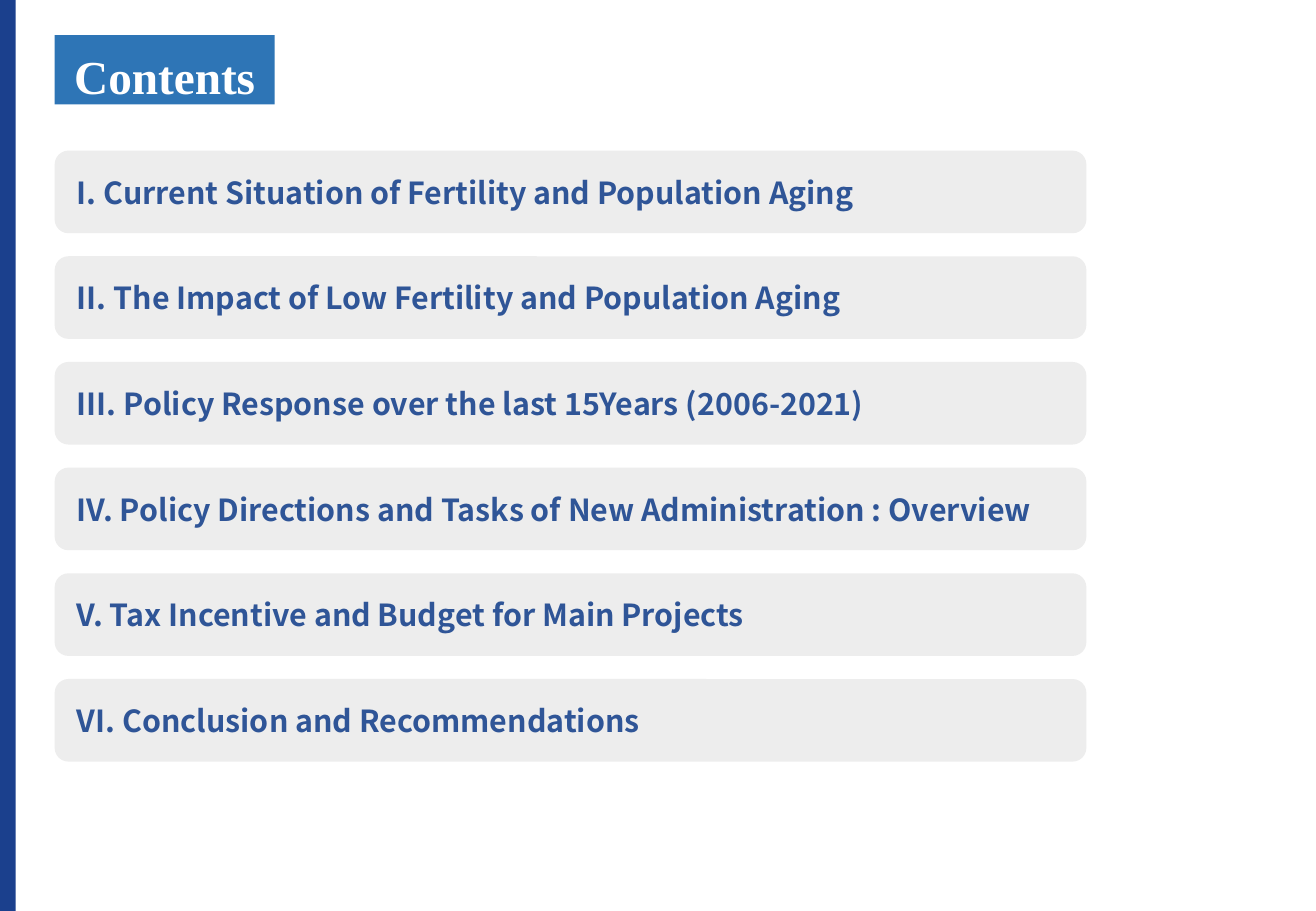
from pptx import Presentation
from pptx.dml.color import RGBColor
from pptx.enum.shapes import MSO_SHAPE as SHAPE
from pptx.enum.text import MSO_ANCHOR as ANCHOR, PP_ALIGN as ALIGN
from pptx.util import Inches, Pt

NAVY = RGBColor(0x1B, 0x40, 0x8D)
BLUE = RGBColor(0x2E, 0x75, 0xB6)
INK = RGBColor(0x2F, 0x55, 0x97)
GREY = RGBColor(0xED, 0xED, 0xED)
WHITE = RGBColor(0xFF, 0xFF, 0xFF)

LEFT, FIRST_TOP, PITCH = 0.45, 1.24, 0.87
CHAPTERS = [
    "I. Current Situation of Fertility and Population Aging",
    "II. The Impact of Low Fertility and Population Aging",
    "III. Policy Response over the last 15Years (2006-2021)",
    "IV. Policy Directions and Tasks of New Administration : Overview",
    "V. Tax Incentive and Budget for Main Projects",
    "VI. Conclusion and Recommendations",
]


class ContentsSlide:
    title_font = "Times New Roman"
    body_font = "Noto Sans CJK KR"

    def __init__(self, prs):
        self.s = prs.slides.add_slide(prs.slide_layouts[6])

    def block(self, kind, x, y, w, h, fill):
        sp = self.s.shapes.add_shape(kind, Inches(x), Inches(y), Inches(w), Inches(h))
        sp.shadow.inherit = False
        sp.fill.solid()
        sp.fill.fore_color.rgb = fill
        sp.line.fill.background()
        return sp

    def label(self, sp, text, font, size, color, align):
        tf = sp.text_frame
        tf.word_wrap = True
        tf.text = text
        p = tf.paragraphs[0]
        p.alignment = align
        r = p.runs[0]
        r.font.name = font
        r.font.size = Pt(size)
        r.font.bold = True
        r.font.color.rgb = color
        return tf

    def title(self, text):
        sp = self.block(SHAPE.RECTANGLE, LEFT, 0.29, 1.81, 0.57, BLUE)
        tf = self.label(sp, text, self.title_font, 28, WHITE, ALIGN.CENTER)
        tf.vertical_anchor = ANCHOR.TOP
        tf.margin_top = Inches(0.1)
        tf.margin_bottom = 0

    def chapter(self, text, y):
        sp = self.block(SHAPE.ROUNDED_RECTANGLE, LEFT, y, 8.49, 0.68, GREY)
        tf = self.label(sp, text, self.body_font, 18, INK, ALIGN.LEFT)
        tf.vertical_anchor = ANCHOR.MIDDLE
        tf.margin_left = Inches(0.15)


def main():
    prs = Presentation()
    prs.slide_width = Inches(10.83)
    prs.slide_height = Inches(7.5)
    slide = ContentsSlide(prs)
    slide.block(SHAPE.RECTANGLE, 0, 0, 0.13, 7.5, NAVY)
    slide.title("Contents")
    for i, chapter in enumerate(CHAPTERS):
        slide.chapter(chapter, FIRST_TOP + i * PITCH)
    prs.save("out.pptx")


if __name__ == "__main__":
    main()
